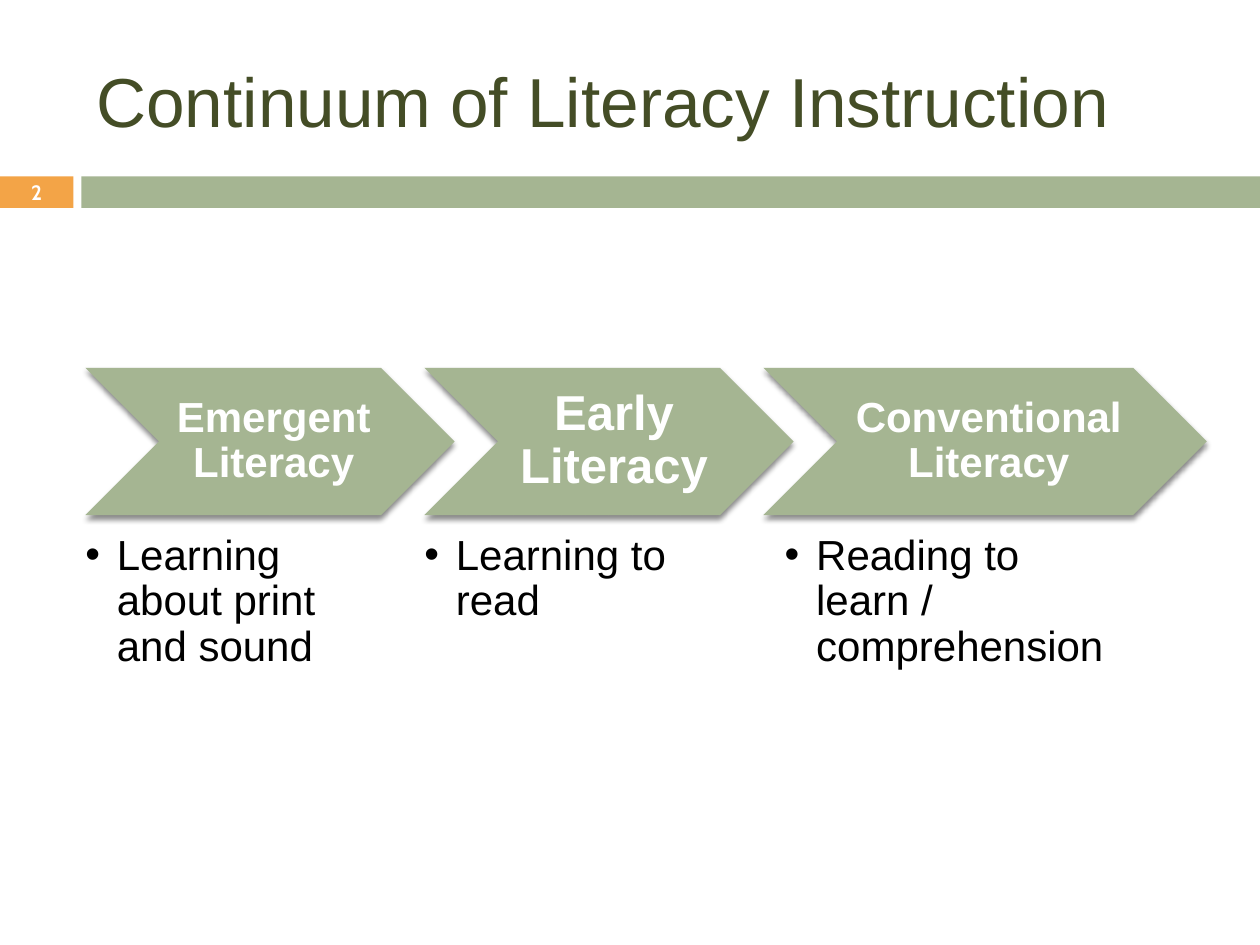
from lxml import etree
from pptx import Presentation
from pptx.dml.color import RGBColor
from pptx.enum.shapes import MSO_SHAPE
from pptx.enum.text import MSO_ANCHOR, PP_ALIGN
from pptx.oxml.ns import qn
from pptx.util import Pt

RECTANGLE, CHEVRON = MSO_SHAPE.RECTANGLE, MSO_SHAPE.CHEVRON
TOP, MIDDLE = MSO_ANCHOR.TOP, MSO_ANCHOR.MIDDLE
LEFT, CENTER = PP_ALIGN.LEFT, PP_ALIGN.CENTER

GREEN, ORANGE, OLIVE, WHITE, BLACK = "A5B592", "F3A447", "444D26", "FFFFFF", "000000"
CHEVRON_TOP, CHEVRON_HEIGHT, OVERLAP = 210.2, 84.2, 17.3
CAPTION_TOP, CAPTION_HEIGHT = 305.3, 90.7
STAGES = [
    ("Emergent Literacy", 24, 7.2, 211, "Learning about print and sound", 0, 168.5),
    ("Early Literacy", 28, 8.64, 211, "Learning to read", 0, 168.5),
    ("Conventional Literacy", 24, 7.2, 253.4, "Reading to learn / comprehension", 12.2, 187.2),
]


def color(value):
    """Turn a hex string into a colour."""
    return RGBColor.from_string(value)


def set_values(target, values):
    """Set each named attribute of the target."""
    for name, value in values.items():
        setattr(target, name, value)


class SlideBuilder:
    """Hold the style and the current slide."""

    font_name = "Arial"
    line_spacing = 0.9
    bullet_indent = 18

    def __init__(self, slide):
        """Keep the slide to draw on."""
        self.slide = slide

    def shape(self, kind, box, fill):
        """Add a filled shape without a line or shadow."""
        shape = self.slide.shapes.add_shape(kind, *map(Pt, box))
        shape.shadow.inherit = False
        shape.fill.solid()
        shape.fill.fore_color.rgb = color(fill)
        shape.line.fill.background()
        return shape

    def chevron(self, box, fill):
        """Add a chevron with a soft shadow below it."""
        properties = self.shape(CHEVRON, box, fill).fill._xPr
        effects = properties.find(qn("a:effectLst"))
        shadow = etree.SubElement(
            effects, qn("a:outerShdw"), blurRad=str(Pt(3)), dist=str(Pt(2.4)),
            dir="5400000", rotWithShape="0")
        tone = etree.SubElement(shadow, qn("a:srgbClr"), val=BLACK)
        etree.SubElement(tone, qn("a:alpha"), val="45000")

    def text(self, box, text, size, fill, insets=(7.2, 3.6, 7.2, 3.6), anchor=MIDDLE,
             alignment=CENTER, spacing=None, bullet=False, bold=False, font_name=None):
        """Add a wrapped text box with one paragraph."""
        frame = self.slide.shapes.add_textbox(*map(Pt, box)).text_frame
        left, top, right, bottom = map(Pt, insets)
        set_values(frame, {
            "word_wrap": True, "vertical_anchor": anchor, "margin_left": left,
            "margin_top": top, "margin_right": right, "margin_bottom": bottom})
        paragraph = frame.paragraphs[0]
        paragraph.text = text
        set_values(paragraph, {"alignment": alignment, "line_spacing": spacing})
        if bullet:
            properties = paragraph._p.get_or_add_pPr()
            properties.set("marL", str(Pt(self.bullet_indent)))
            properties.set("indent", str(-Pt(self.bullet_indent)))
            etree.SubElement(properties, qn("a:buFont"), typeface=self.font_name)
            etree.SubElement(properties, qn("a:buChar"), char="•")
        font = paragraph.runs[0].font
        set_values(font, {"name": font_name or self.font_name, "size": Pt(size), "bold": bold})
        font.color.rgb = color(fill)

    def stage(self, left, label, size, inset, width, caption, shift, caption_width):
        """Add a chevron with its label and the caption below."""
        self.chevron((left, CHEVRON_TOP, width, CHEVRON_HEIGHT), GREEN)
        self.text((left + CHEVRON_HEIGHT / 2, CHEVRON_TOP, width - CHEVRON_HEIGHT, CHEVRON_HEIGHT),
                  label, size, WHITE, insets=(inset, 2.88, 2.88, 2.88),
                  spacing=self.line_spacing, bold=True)
        self.text((left + shift, CAPTION_TOP, caption_width, CAPTION_HEIGHT), caption, 24, BLACK,
                  insets=(0, 0, 0, 0), anchor=TOP, alignment=LEFT,
                  spacing=self.line_spacing, bullet=True)


def main():
    """Build the slide and save it."""
    presentation = Presentation()
    set_values(presentation, {"slide_width": Pt(720), "slide_height": Pt(540)})
    builder = SlideBuilder(presentation.slides.add_slide(presentation.slide_layouts[6]))
    builder.shape(RECTANGLE, (0, 100.8, 42, 18), ORANGE)
    builder.shape(RECTANGLE, (46.5, 100.8, 673.5, 18), GREEN)
    builder.text((48, 18, 642, 78), "Continuum of Literacy Instruction", 39.6, OLIVE,
                 alignment=LEFT)
    left = 48.8
    for stage in STAGES:
        builder.stage(left, *stage)
        left += stage[3] - OVERLAP
    builder.text((0, 100, 42, 19.5), "2", 11.9, WHITE, bold=True, font_name="Cabin")
    presentation.save("out.pptx")


if __name__ == "__main__":
    main()
